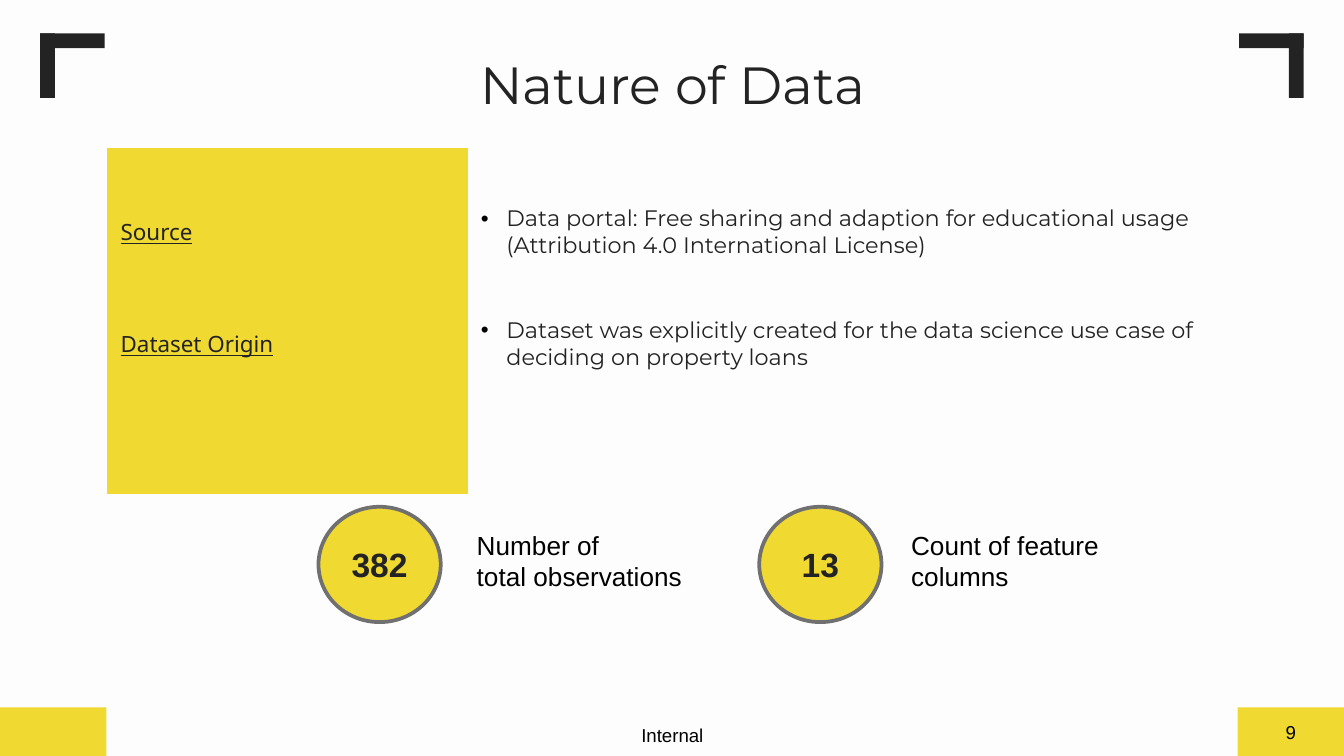
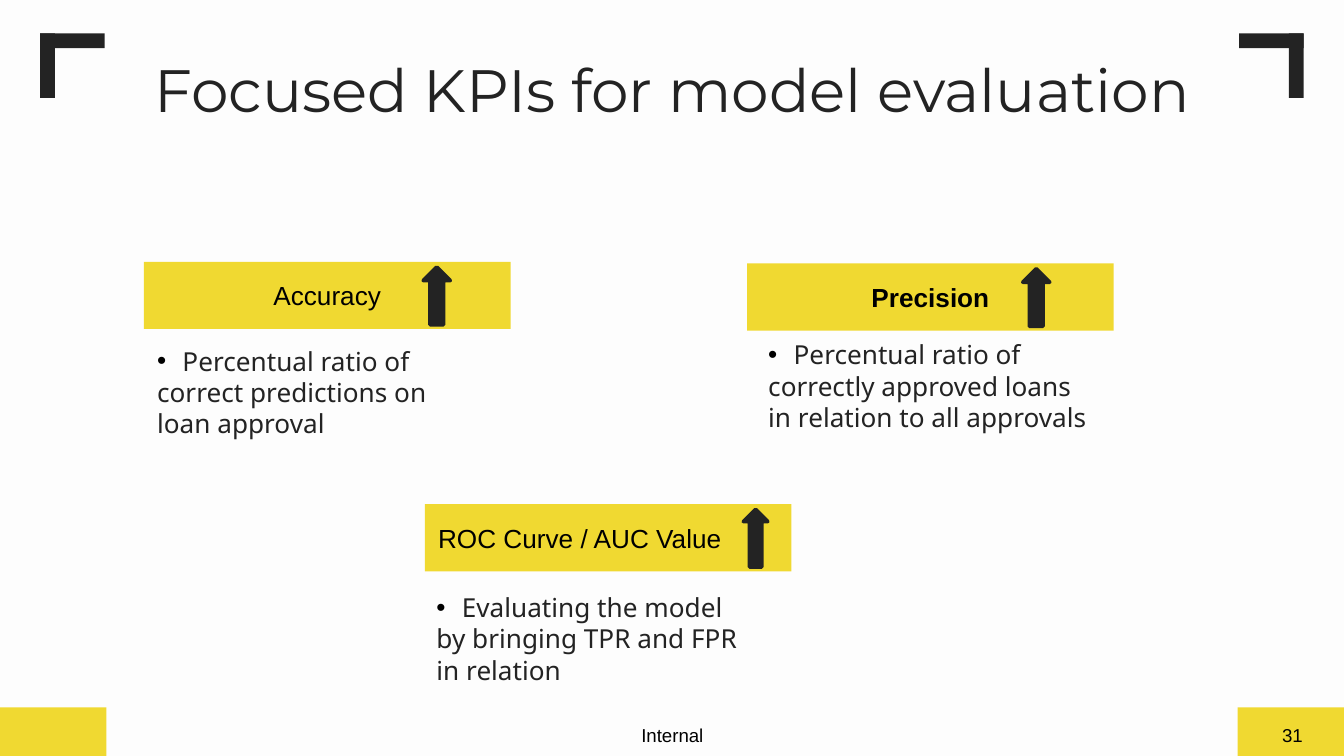
import pptx
import pptx.util
import pptx.dml.color
import pptx.enum.shapes
import pptx.enum.text
import pptx.oxml.ns
from lxml import etree

Cm = pptx.util.Cm
Pt = pptx.util.Pt
SHAPE = pptx.enum.shapes.MSO_SHAPE
ALIGN = pptx.enum.text.PP_ALIGN
ANCHOR = pptx.enum.text.MSO_ANCHOR

YELLOW, DARK, BLACK, GREY = "F0D931", "232323", "000000", "707070"
PAPER, WHITE = "FDFDFD", "FFFFFF"
HEADING, BODY, PLAIN = "Montserrat", "Noto Sans", "Arial"
WIDTH, HEIGHT = 25.4, 14.29
NO_TABLE_STYLE = "{2D5ABB26-0587-4C30-8999-92F81FD0307C}"

DATA_TITLE = {"text": "Nature of Data", "size": 28}
DATA_PAGE = {"text": "9", "box": (24.05, 13.51, 0.71, 0.69)}
DATA_FACTS = [
    ("Source", "Data portal: Free sharing and adaption for educational usage "
               "(Attribution 4.0 International License)"),
    ("Dataset Origin", "Dataset was explicitly created for the data science use case of "
                       "deciding on property loans"),
]
FACT_ORIGIN = (2.03, 2.79)
FACT_COLUMNS = (6.81, 14.58)
FACT_ROWS = (3.19, 1.03, 0.58, 0.58, 0.58, 0.58)
DATA_COUNTS = [
    {"count": "382", "left": 6.02, "label": ["Number of", "total observations"],
     "label_box": (8.76, 9.88, 4.42, 1.45)},
    {"count": "13", "left": 14.35, "label": ["Count of feature", "columns"],
     "label_box": (16.97, 9.88, 4.06, 1.45)},
]

KPI_TITLE = {"text": "Focused KPIs for model evaluation", "size": 32}
KPI_PAGE = {"text": "31", "box": (23.98, 13.56, 0.91, 0.69)}
KPIS = [
    {"name": "Accuracy", "bar": (2.72, 4.95), "align": ALIGN.CENTER, "bold": False,
     "arrow": (8.0, 0.51), "note_box": (2.72, 6.27, 5.79, 0.81),
     "note_margins": (0.25, 0.25, 0, 0.25),
     "note": ["Percentual ratio of", "correct predictions on loan approval"]},
    {"name": "ROC Curve / AUC Value", "bar": (8.03, 9.53), "align": ALIGN.LEFT, "bold": False,
     "arrow": (14.05, 0.46), "note_box": (8.0, 11.05, 6.45, 2.06),
     "note_margins": (0.25, 0.13, 0.25, 0.13),
     "note": ["Evaluating the model", "by bringing TPR and FPR", "in relation"]},
    {"name": "Precision", "bar": (14.12, 4.98), "align": ALIGN.CENTER, "bold": True,
     "arrow": (19.33, 0.51), "note_box": (14.27, 6.27, 7.14, 2.06),
     "note_margins": (0.25, 0.13, 0.25, 0.13),
     "note": ["Percentual ratio of", "correctly approved loans", "in relation to all approvals"]},
]


def rgb(colour):
    return pptx.dml.color.RGBColor.from_string(colour)


def cm(lengths):
    return [Cm(length) for length in lengths]


def add_bullet(paragraph):
    properties = paragraph._p.get_or_add_pPr()
    properties.set("marL", str(Cm(0.48)))
    properties.set("indent", str(-Cm(0.48)))
    qn = pptx.oxml.ns.qn
    colour = etree.SubElement(properties, qn("a:buClr"))
    etree.SubElement(colour, qn("a:srgbClr"), val=BLACK)
    etree.SubElement(properties, qn("a:buFont"), typeface=PLAIN)
    etree.SubElement(properties, qn("a:buChar"), char="•")


def write(frame, lines, size, face, colour, align=ALIGN.LEFT, bold=False,
          underline=False, bullet=False):
    for index, line in enumerate(lines):
        paragraph = frame.paragraphs[0] if index == 0 else frame.add_paragraph()
        paragraph.text = line
        paragraph.alignment = align
        if bullet and index == 0:
            add_bullet(paragraph)
        font = paragraph.font
        font.size, font.name, font.bold = Pt(size), face, bold
        font.underline = underline
        font.color.rgb = rgb(colour)


def set_margins(frame, margins):
    (frame.margin_left, frame.margin_top,
     frame.margin_right, frame.margin_bottom) = cm(margins)


def add_text(slide, box, lines, size, face, colour, wrap=False, margins=None, **style):
    frame = slide.shapes.add_textbox(*cm(box)).text_frame
    frame.word_wrap = wrap
    if margins:
        set_margins(frame, margins)
    write(frame, lines, size, face, colour, **style)


def add_block(slide, kind, box, fill, line=None):
    block = slide.shapes.add_shape(kind, *cm(box))
    block.shadow.inherit = False
    block.fill.solid()
    block.fill.fore_color.rgb = rgb(fill)
    if line:
        block.line.color.rgb = rgb(line)
        block.line.width = Pt(2)
    else:
        block.line.fill.background()
    return block


def add_frame(slide):
    margin, top, length, thick = 0.76, 0.63, 1.22, 0.28
    band_width, band_height = 2.01, 0.92
    add_text(slide, (12.12, 13.69, 1.27, 0.43), ["Internal"], 10, PLAIN, BLACK,
             margins=(0, 0, 0, 0))
    for right in (False, True):
        def place(width, edge):
            return WIDTH - edge - width if right else edge
        for width, height in ((length, thick), (thick, length)):
            add_block(slide, SHAPE.RECTANGLE, (place(width, margin), top, width, height), DARK)
        add_block(slide, SHAPE.RECTANGLE,
                  (place(band_width, 0), HEIGHT - band_height, band_width, band_height), YELLOW)


def add_slide(deck, heading, page):
    slide = deck.slides.add_slide(deck.slide_layouts[5])
    add_frame(slide)
    title = slide.shapes.title
    title.left, title.top, title.width, title.height = cm((1.02, 0.74, 23.38, 1.6))
    frame = title.text_frame
    frame.word_wrap = True
    frame.auto_size = pptx.enum.text.MSO_AUTO_SIZE.NONE
    frame.vertical_anchor = ANCHOR.TOP
    set_margins(frame, (0.25,) * 4)
    write(frame, [heading["text"]], heading["size"], HEADING, DARK, ALIGN.CENTER)
    add_text(slide, page["box"], [page["text"]], 10, PLAIN, BLACK)
    return slide


def add_facts(slide):
    size = (sum(FACT_COLUMNS), sum(FACT_ROWS))
    facts = slide.shapes.add_table(len(FACT_ROWS), len(FACT_COLUMNS),
                                   *cm(FACT_ORIGIN + size)).table
    facts.first_row = facts.horz_banding = False
    facts._tbl.tblPr.find(pptx.oxml.ns.qn("a:tableStyleId")).text = NO_TABLE_STYLE
    for column, width in zip(facts.columns, FACT_COLUMNS):
        column.width = Cm(width)
    for row, height in zip(facts.rows, FACT_ROWS):
        row.height = Cm(height)
        name, detail = row.cells
        name.fill.solid()
        name.fill.fore_color.rgb = rgb(YELLOW)
        detail.fill.gradient()
        detail.fill.gradient_angle = 0
        for stop, position, colour in zip(detail.fill.gradient_stops, (0, 0.5), (PAPER, WHITE)):
            stop.position = position
            stop.color.rgb = rgb(colour)
        for cell in row.cells:
            set_margins(cell, (0.25, 0, 0.25, 0))
            cell.vertical_anchor = ANCHOR.MIDDLE
    for row, (name, detail) in zip(facts.rows, DATA_FACTS):
        write(row.cells[0].text_frame, [name], 12, BODY, DARK, underline=True)
        write(row.cells[1].text_frame, [detail], 12, HEADING, DARK, bullet=True)
    for row in list(facts.rows)[len(DATA_FACTS):]:
        for cell in row.cells:
            cell.text_frame.paragraphs[0]._p.get_or_add_endParaRPr().set("sz", "800")


def build_data(deck):
    slide = add_slide(deck, DATA_TITLE, DATA_PAGE)
    add_facts(slide)
    for item in DATA_COUNTS:
        circle = add_block(slide, SHAPE.FLOWCHART_CONNECTOR,
                           (item["left"], 9.58, 2.31, 2.18), YELLOW, GREY)
        circle.text_frame.vertical_anchor = ANCHOR.MIDDLE
        write(circle.text_frame, [item["count"]], 18, PLAIN, DARK, ALIGN.CENTER, bold=True)
        add_text(slide, item["label_box"], item["label"], 14, PLAIN, BLACK)


def build_kpis(deck):
    slide = add_slide(deck, KPI_TITLE, KPI_PAGE)
    for kpi in KPIS:
        left, top = kpi["bar"]
        bar = add_block(slide, SHAPE.RECTANGLE, (left, top, 6.93, 1.27), YELLOW)
        bar.text_frame.vertical_anchor = ANCHOR.MIDDLE
        set_margins(bar.text_frame, (0.25,) * 4)
        write(bar.text_frame, [kpi["name"]], 14, PLAIN, BLACK, kpi["align"], kpi["bold"])
        add_text(slide, kpi["note_box"], kpi["note"], 14, BODY, DARK, wrap=True,
                 margins=kpi["note_margins"], bullet=True)
        arrow_left, arrow_width = kpi["arrow"]
        add_block(slide, SHAPE.UP_ARROW, (arrow_left, top + 0.1, arrow_width, 1.09), DARK, DARK)


def main():
    deck = pptx.Presentation()
    deck.slide_width, deck.slide_height = cm((WIDTH, HEIGHT))
    backdrop = deck.slide_master.background.fill
    backdrop.solid()
    backdrop.fore_color.rgb = rgb(PAPER)
    build_data(deck)
    build_kpis(deck)
    deck.save("out.pptx")


if __name__ == "__main__":
    main()
